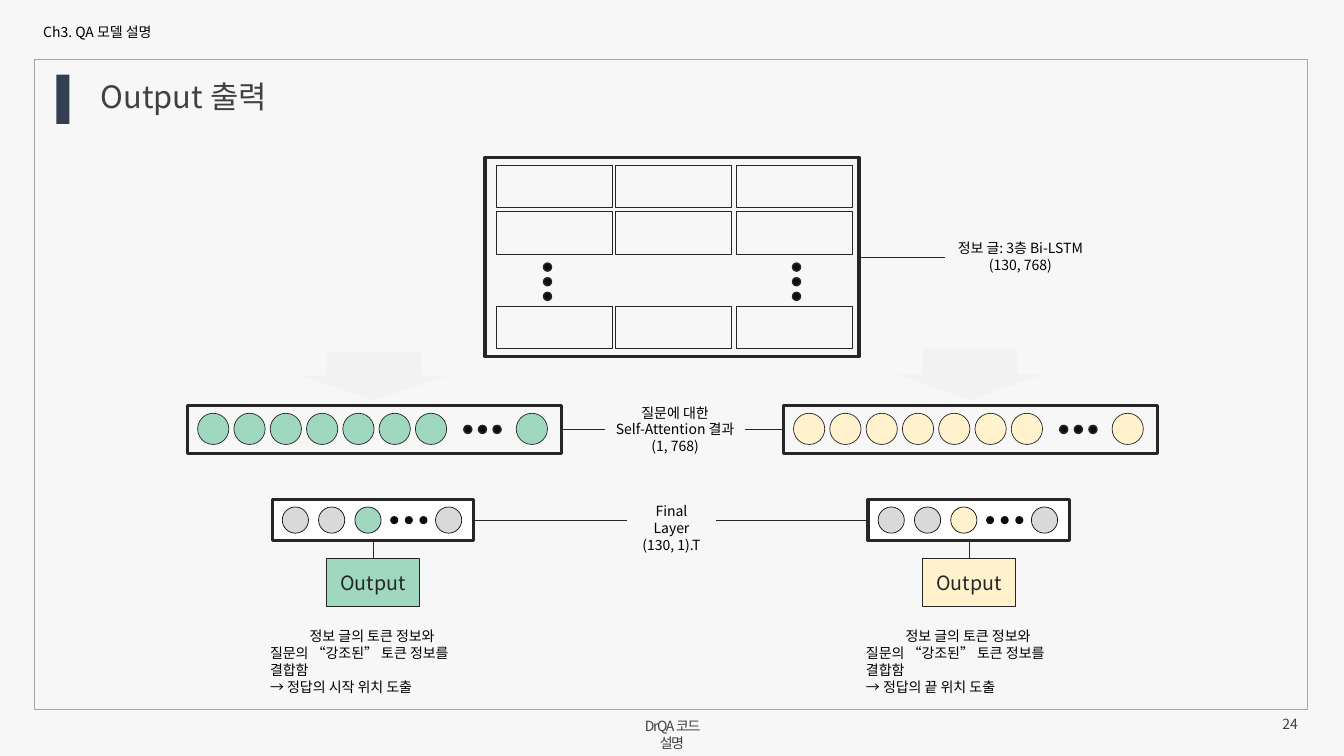
"""Build the slide on how the QA model derives its output."""
from lxml.etree import SubElement
from pptx import Presentation
from pptx.dml.color import RGBColor
from pptx.enum.shapes import MSO_CONNECTOR, MSO_SHAPE
from pptx.enum.text import MSO_ANCHOR, PP_ALIGN
from pptx.oxml.ns import qn
from pptx.util import Inches, Pt

FONT = "Noto Sans CJK KR"
HEX = {"page": "F7F7F7", "frame": "A6A6A6", "navy": "333F50", "ink": "262626",
       "dot": "0D0D0D", "text": "000000", "soft": "404040", "arrow": "F2F2F2",
       "gray": "D9D9D9", "white": "FFFFFF", "green": "9FD7BF", "cream": "FFF2CC"}
TITLE = "Output 출력"
CHAPTER = "Ch3. QA 모델 설명"
FOOTER = "DrQA 코드 설명"
NUMBER = "24"
MATRIX = ["정보 글: 3층 Bi-LSTM", "(130, 768)"]
ATTEND = ["질문에 대한", "Self-Attention 결과", "(1, 768)"]
FINAL = ["Final Layer", "(130, 1).T"]
RESULT = "Output"
NOTE = ["정보 글의 토큰 정보와", "질문의 “강조된” 토큰 정보를 결합함"]
SIDES = [
    {"x": 1.86, "tint": "green", "top": 3.49, "side": 3, "end": "→ 정답의 시작 위치 도출"},
    {"x": 7.77, "tint": "cream", "top": 3.46, "side": 1, "end": "→ 정답의 끝 위치 도출"},
]
COLS = [4.92, 6.1, 7.3]
ROWS = [1.64, 2.1, 3.04]
STEP = 0.36
GAP = 0.145
LEFT, MID, RIGHT = PP_ALIGN.LEFT, PP_ALIGN.CENTER, PP_ALIGN.RIGHT

deck = Presentation()
deck.slide_width, deck.slide_height = Inches(13.33), Inches(7.5)
slide = deck.slides.add_slide(deck.slide_layouts[5])
slide.background.fill.solid()
slide.background.fill.fore_color.rgb = RGBColor.from_string(HEX["page"])


def color(name):
    return RGBColor.from_string(HEX[name])


def shape(kind, x, y, w, h, fill=None, line=None, width=0.5):
    item = slide.shapes.add_shape(kind, *map(Inches, (x, y, w, h)))
    item.shadow.inherit = False
    if fill:
        item.fill.solid()
        item.fill.fore_color.rgb = color(fill)
    else:
        item.fill.background()
    if line:
        item.line.color.rgb = color(line)
        item.line.width = Pt(width)
    else:
        item.line.fill.background()
    return item


def rect(*args, **more):
    return shape(MSO_SHAPE.RECTANGLE, *args, **more)


def disc(x, y, size, *args):
    return shape(MSO_SHAPE.OVAL, x, y, size, size, *args)


def write(item, lines, size=10, tone="text", align=MID, anchor=MSO_ANCHOR.TOP):
    frame = item.text_frame
    frame.word_wrap = True
    frame.vertical_anchor = anchor
    frame.text = "\n".join(lines)
    for para in frame.paragraphs:
        para.alignment = align
        for run in para.runs:
            run.font.size = Pt(size)
            run.font.name = FONT
            run.font.color.rgb = color(tone)
            SubElement(run.font._element, qn("a:ea"), typeface=FONT)
    return item


def label(x, y, w, h, lines, **more):
    box = slide.shapes.add_textbox(*map(Inches, (x, y, w, h)))
    return write(box, lines, **more)


def join(start, out, end, into):
    wire = slide.shapes.add_connector(MSO_CONNECTOR.STRAIGHT, 0, 0, 0, 0)
    wire.begin_connect(start, out)
    wire.end_connect(end, into)
    wire.line.color.rgb = color("ink")
    wire.line.width = Pt(0.5)
    SubElement(wire._element.spPr, qn("a:effectLst"))


def page():
    rect(0.34, 0.59, 12.63, 6.45, line="frame")
    rect(0.56, 0.74, 0.13, 0.49, fill="navy")
    head = slide.shapes.title
    head.left, head.top, head.width, head.height = map(Inches, (0.9, 0.76, 11.82, 0.47))
    write(head, [TITLE], size=22, tone="soft", align=LEFT)
    top = label(0.33, 0.2, 5.76, 0.26, [CHAPTER], align=LEFT)
    for box in (head, top):
        box.text_frame.paragraphs[0].line_spacing = 0.9
    foot = label(6.2, 7.08, 0.93, 0.24, [FOOTER], tone="soft")
    frame = foot.text_frame
    frame.margin_left = frame.margin_right = Inches(0.07)
    frame.margin_top = frame.margin_bottom = Inches(0.04)
    frame.paragraphs[0].runs[0].font._element.set("spc", "-100")
    label(12.06, 7.05, 0.91, 0.26, [NUMBER], tone="soft", align=RIGHT,
          anchor=MSO_ANCHOR.MIDDLE)


def matrix():
    outer = rect(4.81, 1.56, 3.71, 1.98, line="ink", width=2.25)
    for x in COLS:
        for y in ROWS:
            rect(x, y, 1.15, 0.42, line="ink")
    for x in (5.39, 7.86):
        for i in range(3):
            disc(x, 2.61 + i * GAP, 0.08, "dot", "ink", 1)
    join(label(9.37, 2.33, 1.5, 0.44, MATRIX), 1, outer, 3)


def branch(x, tint, top, side, end, attend, final):
    arrow = shape(MSO_SHAPE.DOWN_ARROW, x + 1.13, top, 1.44, 3.97 - top, "arrow")
    arrow.adjustments[0], arrow.adjustments[1] = 0.655, 0.5

    wide = rect(x, 4.02, 3.71, 0.48, line="ink", width=2.25)
    for dx in [i * STEP for i in range(7)] + [3.16]:
        disc(x + 0.1 + dx, 4.1, 0.31, tint, "ink")
    slim = rect(x + 0.84, 4.96, 2, 0.4, fill="white", line="ink", width=2.25)
    for dx, fill in zip((0, STEP, 2 * STEP, 1.52), ("gray", "gray", tint, "gray")):
        disc(x + 0.94 + dx, 5.03, 0.26, fill, "dot")
    for i in range(3):
        disc(x + 2.74 + i * GAP, 4.22, 0.08, "dot", "ink", 1)
        disc(x + 2.01 + i * GAP, 5.12, 0.08, "dot")

    box = rect(x + 1.38, 5.54, 0.92, 0.48, fill=tint, line="ink")
    write(box, [RESULT], size=14, tone="ink", anchor=MSO_ANCHOR.MIDDLE)
    join(box, 0, slim, 2)
    join(attend, 4 - side, wide, side)
    join(final, 4 - side, slim, side)
    note = label(x + 0.72, 6.18, 2.22, 0.61, NOTE + [end], align=LEFT)
    note.text_frame.paragraphs[0].alignment = MID


def main():
    page()
    matrix()
    attend = label(6, 3.96, 1.39, 0.6, ATTEND)
    final = label(6.22, 4.94, 0.88, 0.44, FINAL)
    for part in SIDES:
        branch(**part, attend=attend, final=final)
    deck.save("out.pptx")


if __name__ == "__main__":
    main()
